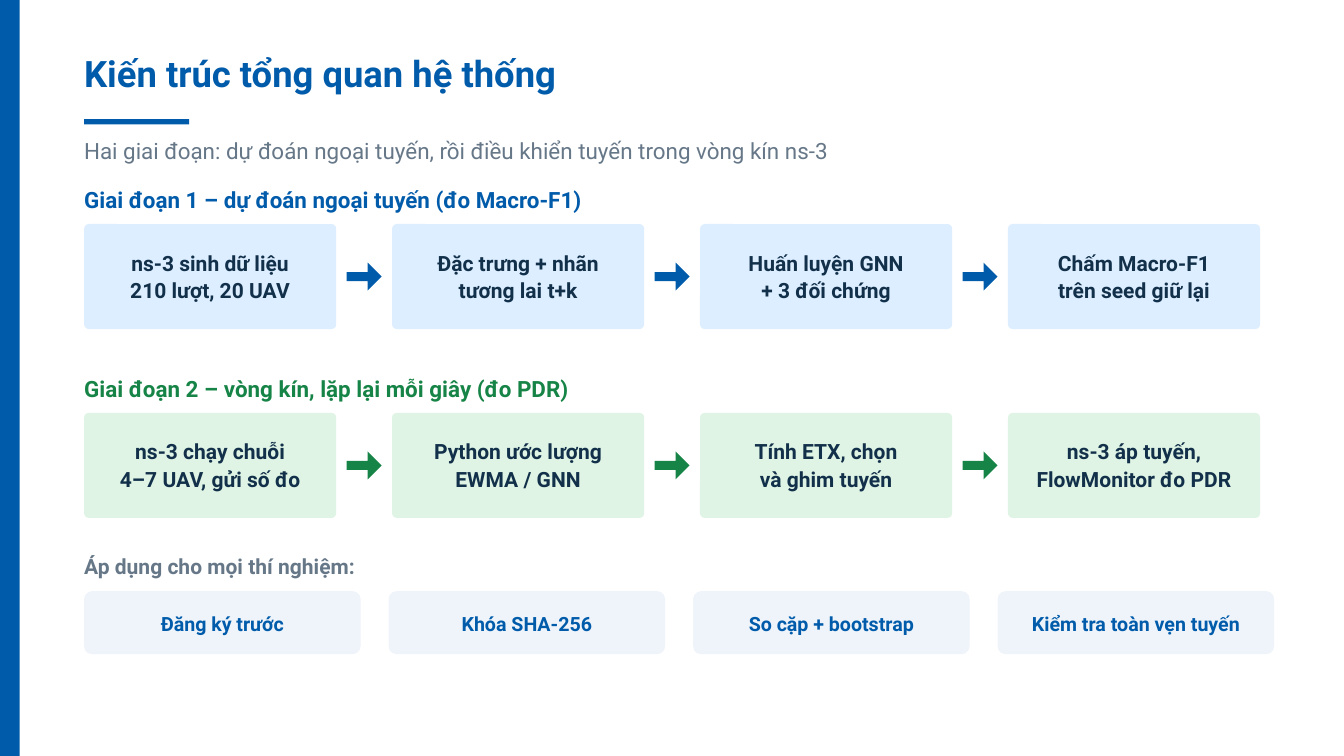
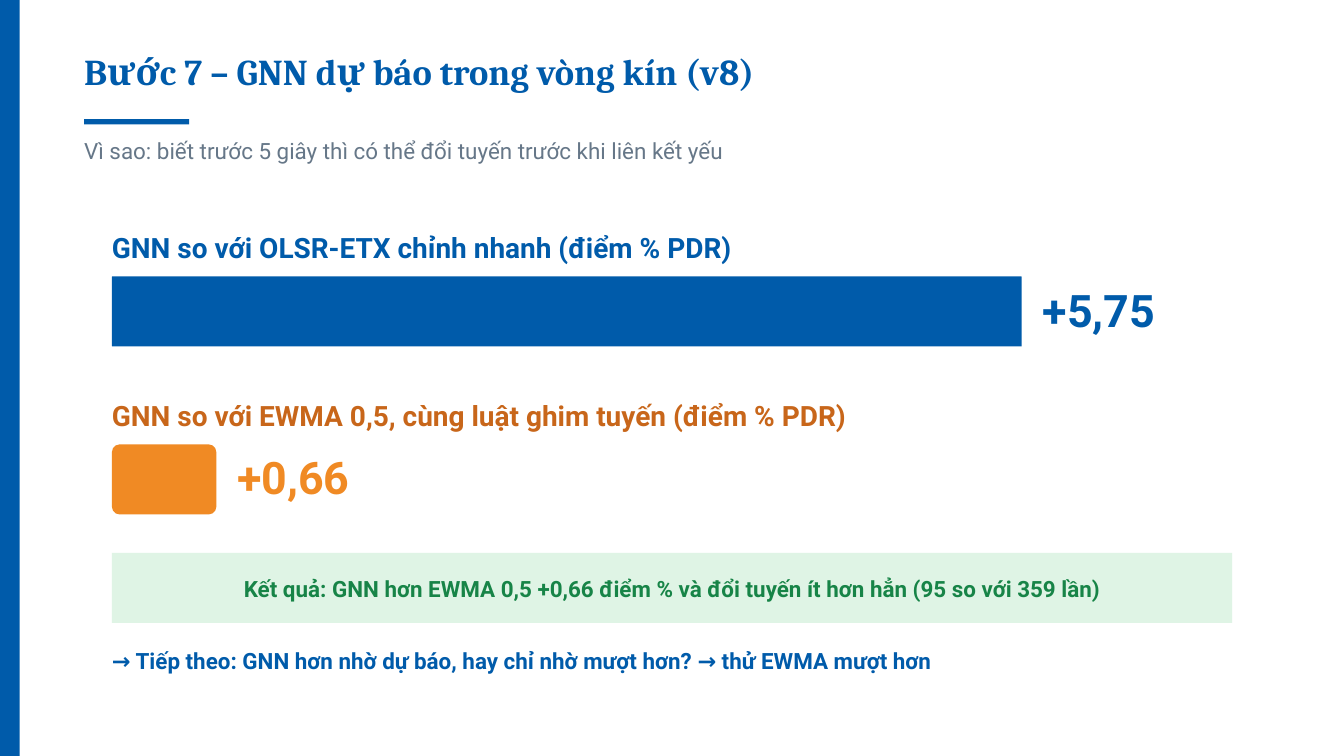
from dataclasses import dataclass
from typing import Optional

from pptx import Presentation
from pptx.dml.color import RGBColor
from pptx.enum.shapes import MSO_SHAPE as Shape
from pptx.enum.text import MSO_ANCHOR as Anchor, MSO_AUTO_SIZE as AutoSize, PP_ALIGN as Align
from pptx.util import Cm, Pt

BLUE = RGBColor(0x00, 0x5B, 0xAA)
GREEN = RGBColor(0x17, 0x84, 0x47)
ORANGE = RGBColor(0xF0, 0x8A, 0x24)
DARK_ORANGE = RGBColor(0xC8, 0x66, 0x1A)
NAVY = RGBColor(0x12, 0x30, 0x4A)
GREY = RGBColor(0x66, 0x77, 0x88)
PALE_BLUE = RGBColor(0xDC, 0xEE, 0xFF)
PALE_GREEN = RGBColor(0xDF, 0xF4, 0xE5)
PALE_GREY = RGBColor(0xEE, 0xF4, 0xFA)

# Lengths below are in centimetres
SLIDE_W, SLIDE_H = 50.8, 28.58
LEFT = 3.18
TEXT_W = 42.34
CARD_W, CARD_H, CARD_PITCH = 9.53, 3.97, 11.64
ARROW_W, ARROW_H = 1.32, 1.06
CHIP_W, CHIP_H, CHIP_PITCH = 10.45, 2.38, 11.51
BAR_LEFT, BAR_MAX_W, BAR_H = 4.23, 34.39, 2.65
MAX_GAIN = 5.75


@dataclass(frozen=True)
class Box:
    x: float
    y: float
    w: float
    h: float


@dataclass(frozen=True)
class Style:
    size: float
    color: RGBColor
    bold: bool = True
    leading: float = 1.4
    font: str = "Roboto"
    align: Align = Align.LEFT


@dataclass(frozen=True)
class Stage:
    heading: str
    top: float
    color: RGBColor
    fill: RGBColor
    steps: tuple[str, ...]


@dataclass(frozen=True)
class Gain:
    label: str
    value: float
    top: float
    label_color: RGBColor
    color: RGBColor
    corner: float


SUBTITLE = Style(24, GREY, bold=False)
CARD = Style(22.5, NAVY, leading=1.3, align=Align.CENTER)
CHIP = Style(21, BLUE, align=Align.CENTER)
VERDICT = Style(24, GREEN, align=Align.CENTER)

STAGES = (
    Stage("Giai đoạn 1 – dự đoán ngoại tuyến (đo Macro-F1)", 6.86, BLUE, PALE_BLUE, (
        "ns-3 sinh dữ liệu\n210 lượt, 20 UAV",
        "Đặc trưng + nhãn\ntương lai t+k",
        "Huấn luyện GNN\n+ 3 đối chứng",
        "Chấm Macro-F1\ntrên seed giữ lại",
    )),
    Stage("Giai đoạn 2 – vòng kín, lặp lại mỗi giây (đo PDR)", 14, GREEN, PALE_GREEN, (
        "ns-3 chạy chuỗi\n4–7 UAV, gửi số đo",
        "Python ước lượng\nEWMA / GNN",
        "Tính ETX, chọn\nvà ghim tuyến",
        "ns-3 áp tuyến,\nFlowMonitor đo PDR",
    )),
)
CHECKS = ("Đăng ký trước", "Khóa SHA-256", "So cặp + bootstrap", "Kiểm tra toàn vẹn tuyến")
GAINS = (
    Gain("GNN so với OLSR-ETX chỉnh nhanh (điểm % PDR)", 5.75, 8.51, BLUE, BLUE, 0.01),
    Gain("GNN so với EWMA 0,5, cùng luật ghim tuyến (điểm % PDR)", 0.66, 14.86,
         DARK_ORANGE, ORANGE, 0.11),
)


def write(tf, text: str, style: Style) -> None:
    tf.text = text
    for p in tf.paragraphs:
        p.alignment = style.align
        p.line_spacing = Pt(style.size * style.leading)
        p.space_before = p.space_after = Pt(0)
        p.font.name = style.font
        p.font.size = Pt(style.size)
        p.font.bold = style.bold
        p.font.color.rgb = style.color


def write_flush(tf, text: str, style: Style) -> None:
    """Text from the top of its box, without insets."""
    tf.word_wrap = True
    tf.auto_size = AutoSize.NONE
    tf.vertical_anchor = Anchor.TOP
    tf.margin_left = tf.margin_top = tf.margin_right = tf.margin_bottom = 0
    write(tf, text, style)


def place(box: Box) -> tuple[Cm, Cm, Cm, Cm]:
    return Cm(box.x), Cm(box.y), Cm(box.w), Cm(box.h)


def add_text(s, box: Box, text: str, style: Style) -> None:
    write_flush(s.shapes.add_textbox(*place(box)).text_frame, text, style)


def add_block(s, kind: Shape, box: Box, fill: RGBColor, adjust: tuple[float, ...] = (),
              text: str = "", style: Optional[Style] = None) -> None:
    sp = s.shapes.add_shape(kind, *place(box))
    sp.shadow.inherit = False
    sp.fill.solid()
    sp.fill.fore_color.rgb = fill
    sp.line.fill.background()
    for i, value in enumerate(adjust):
        sp.adjustments[i] = value
    if style:
        tf = sp.text_frame
        tf.word_wrap = True
        tf.vertical_anchor = Anchor.MIDDLE
        tf.margin_left = tf.margin_top = tf.margin_right = Cm(0.15)
        tf.margin_bottom = Cm(0.25)  # lifts the text a little
        write(tf, text, style)


def add_page(prs, title: str, title_top: float, title_style: Style, subtitle: str):
    """Slide with side band, title, rule and subtitle."""
    s = prs.slides.add_slide(prs.slide_layouts[5])
    add_block(s, Shape.RECTANGLE, Box(0, 0, 0.74, SLIDE_H), BLUE)
    add_block(s, Shape.RECTANGLE, Box(LEFT, 4.5, 3.97, 0.2), BLUE)
    sp = s.shapes.title
    sp.left, sp.top, sp.width, sp.height = place(Box(LEFT, title_top, 37.03, 3.55 - title_top))
    write_flush(sp.text_frame, title, title_style)
    add_text(s, Box(LEFT, 5, TEXT_W, 1.14), subtitle, SUBTITLE)
    return s


def add_stage(s, stage: Stage) -> None:
    add_text(s, Box(LEFT, stage.top, TEXT_W, 1.14), stage.heading, Style(24, stage.color))
    top = stage.top + 1.61
    arrow_dx = (CARD_PITCH + CARD_W - ARROW_W) / 2
    arrow_top = top + (CARD_H - ARROW_H) / 2
    for i, step in enumerate(stage.steps):
        x = LEFT + i * CARD_PITCH
        add_block(s, Shape.ROUNDED_RECTANGLE, Box(x, top, CARD_W, CARD_H), stage.fill,
                  (0.045,), step, CARD)
        if i < len(stage.steps) - 1:
            add_block(s, Shape.RIGHT_ARROW, Box(x + arrow_dx, arrow_top, ARROW_W, ARROW_H),
                      stage.color, (0.32, 0.5))


def add_gain(s, gain: Gain) -> None:
    width = BAR_MAX_W * gain.value / MAX_GAIN
    add_text(s, Box(BAR_LEFT, gain.top, BAR_MAX_W, 1.47), gain.label,
             Style(30, gain.label_color))
    add_block(s, Shape.ROUNDED_RECTANGLE, Box(BAR_LEFT, gain.top + 1.94, width, BAR_H),
              gain.color, (gain.corner,))
    add_text(s, Box(BAR_LEFT + width + 0.79, gain.top + 2.16, 7.94, 2.06),
             f"+{gain.value:.2f}".replace(".", ","), Style(48, gain.color, leading=1.2))


def add_architecture(prs) -> None:
    s = add_page(prs, "Kiến trúc tổng quan hệ thống", 1.65, Style(39, BLUE),
                 "Hai giai đoạn: dự đoán ngoại tuyến, rồi điều khiển tuyến trong vòng kín ns-3")
    for stage in STAGES:
        add_stage(s, stage)
    # Checks shared by all experiments
    add_text(s, Box(LEFT, 20.75, TEXT_W, 1.12), "Áp dụng cho mọi thí nghiệm:", Style(22.5, GREY))
    for i, check in enumerate(CHECKS):
        add_block(s, Shape.ROUNDED_RECTANGLE, Box(LEFT + i * CHIP_PITCH, 22.35, CHIP_W, CHIP_H),
                  PALE_GREY, (0.125,), check, CHIP)


def add_closed_loop(prs) -> None:
    s = add_page(prs, "Bước 7 – GNN dự báo trong vòng kín (v8)", 1.98,
                 Style(39, BLUE, leading=1.12, font="Cambria"),
                 "Vì sao: biết trước 5 giây thì có thể đổi tuyến trước khi liên kết yếu")
    for gain in GAINS:
        add_gain(s, gain)
    # Verdict and next step
    add_block(s, Shape.RECTANGLE, Box(BAR_LEFT, 20.9, TEXT_W, BAR_H), PALE_GREEN, (),
              "Kết quả: GNN hơn EWMA 0,5 +0,66 điểm % và đổi tuyến ít hơn hẳn (95 so với 359 lần)",
              VERDICT)
    add_text(s, Box(BAR_LEFT, 24.31, TEXT_W, 1.14),
             "→ Tiếp theo: GNN hơn nhờ dự báo, hay chỉ nhờ mượt hơn? → thử EWMA mượt hơn",
             Style(24, BLUE))


def main() -> None:
    prs = Presentation()
    prs.slide_width, prs.slide_height = Cm(SLIDE_W), Cm(SLIDE_H)
    add_architecture(prs)
    add_closed_loop(prs)
    prs.save("out.pptx")


if __name__ == "__main__":
    main()
